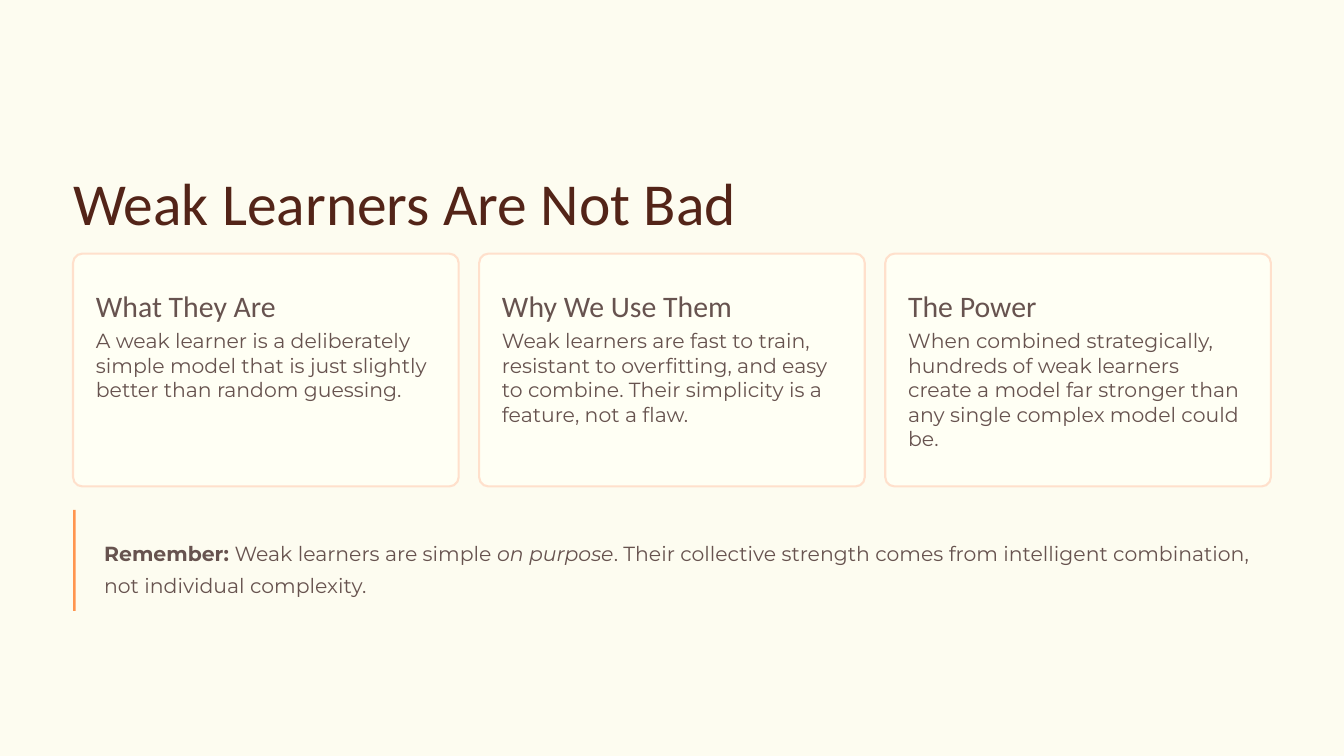
from pptx import Presentation
from pptx.dml.color import RGBColor
from pptx.enum.shapes import MSO_SHAPE
from pptx.enum.text import MSO_ANCHOR, MSO_AUTO_SIZE, PP_ALIGN
from pptx.util import Cm, Pt

RECT = MSO_SHAPE.RECTANGLE
ROUND_RECT = MSO_SHAPE.ROUNDED_RECTANGLE
TOP = MSO_ANCHOR.TOP
NO_AUTOFIT = MSO_AUTO_SIZE.NONE
LEFT = PP_ALIGN.LEFT

CREAM = RGBColor(0xFD, 0xFC, 0xF0)
IVORY = RGBColor(0xFF, 0xFF, 0xF4)
PEACH = RGBColor(0xFF, 0xE0, 0xCC)
ORANGE = RGBColor(0xFF, 0x95, 0x4F)
MAROON = RGBColor(0x53, 0x24, 0x18)
BROWN = RGBColor(0x67, 0x53, 0x4F)

MARGIN = 2.21
CARD_TOP, CARD_WIDTH, CARD_HEIGHT = 7.67, 11.66, 7.04
CARD_STEP = 12.28
CARD_PADDING = 0.69

CARDS = [
    ("What They Are",
     "A weak learner is a deliberately simple model that is just slightly "
     "better than random guessing."),
    ("Why We Use Them",
     "Weak learners are fast to train, resistant to overfitting, and easy to "
     "combine. Their simplicity is a feature, not a flaw."),
    ("The Power",
     "When combined strategically, hundreds of weak learners create a model "
     "far stronger than any single complex model could be."),
]

REMEMBER = [
    ("Remember:", True, False),
    (" Weak learners are simple ", False, False),
    ("on purpose", False, True),
    (". Their collective strength comes from intelligent combination, "
     "not individual complexity.", False, False),
]


class SlideBuilder:
    heading_font = "Calibri"
    body_font = "Montserrat"
    body_size = 17.5

    def __init__(self, prs):
        self.s = prs.slides.add_slide(prs.slide_layouts[5])
        fill = self.s.background.fill
        fill.solid()
        fill.fore_color.rgb = CREAM

    def fill_text(self, sp, runs, font, size, color, spacing):
        tf = sp.text_frame
        tf.margin_left = tf.margin_right = tf.margin_top = tf.margin_bottom = 0
        tf.word_wrap = True
        tf.auto_size = NO_AUTOFIT
        tf.vertical_anchor = TOP
        p = tf.paragraphs[0]
        p.alignment = LEFT
        p.line_spacing = spacing
        for text, bold, italic in runs:
            r = p.add_run()
            r.text = text
            r.font.name = font
            r.font.size = Pt(size)
            r.font.color.rgb = color
            r.font.bold = bold
            r.font.italic = italic

    def title(self, text, x, y, w, h):
        sp = self.s.shapes.title
        sp.left, sp.top, sp.width, sp.height = Cm(x), Cm(y), Cm(w), Cm(h)
        self.fill_text(sp, [(text, False, False)], self.heading_font, 51, MAROON, 1.3)

    def text(self, runs, x, y, w, h, font=body_font, size=body_size, spacing=1.0):
        sp = self.s.shapes.add_textbox(Cm(x), Cm(y), Cm(w), Cm(h))
        self.fill_text(sp, runs, font, size, BROWN, spacing)

    def shape(self, kind, x, y, w, h, color):
        sp = self.s.shapes.add_shape(kind, Cm(x), Cm(y), Cm(w), Cm(h))
        sp.shadow.inherit = False
        sp.fill.solid()
        sp.fill.fore_color.rgb = color
        sp.line.fill.background()
        return sp

    def card(self, x, heading, body):
        sp = self.shape(ROUND_RECT, x, CARD_TOP, CARD_WIDTH, CARD_HEIGHT, IVORY)
        sp.adjustments[0] = 0.04
        sp.line.color.rgb = PEACH
        sp.line.width = Pt(1.8)
        left = x + CARD_PADDING
        self.text([(heading, False, False)], left, 8.38, 9.07, 1.17,
                  self.heading_font, 25.5, 1.29)
        self.text([(body, False, False)], left, 9.93, 10.26, 4.09)


def main():
    prs = Presentation()
    prs.slide_width, prs.slide_height = Cm(40.64), Cm(22.86)
    slide = SlideBuilder(prs)
    slide.title("Weak Learners Are Not Bad", MARGIN, 4.37, 22.66, 2.36)
    for i, (heading, body) in enumerate(CARDS):
        slide.card(MARGIN + i * CARD_STEP, heading, body)
    slide.text(REMEMBER, 3.15, 16.13, 35.28, 1.63, spacing=1.31)
    slide.shape(RECT, MARGIN, 15.42, 0.08, 3.05, ORANGE)
    prs.save("out.pptx")


if __name__ == "__main__":
    main()
